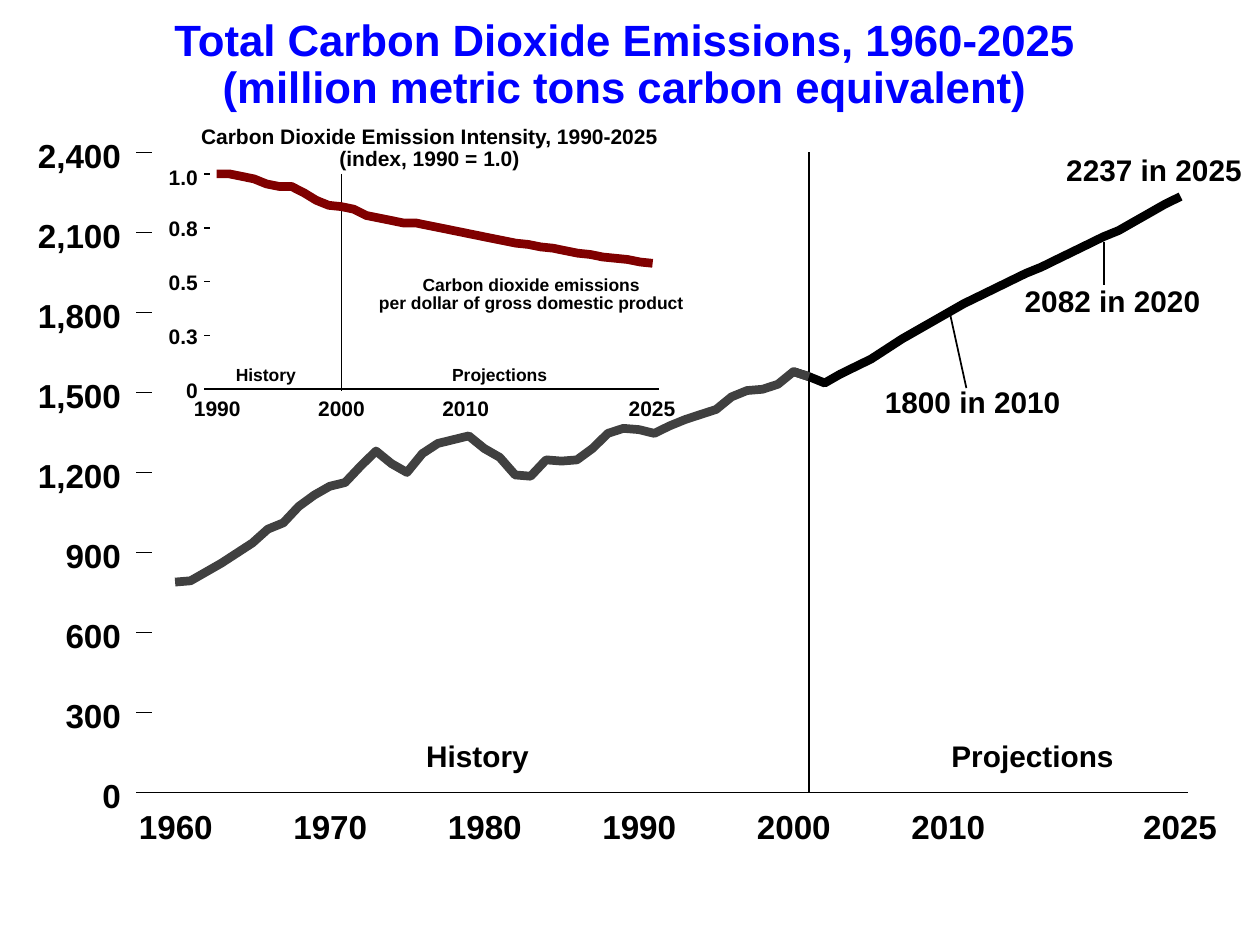
from lxml import etree
from pptx import Presentation
from pptx.dml.color import RGBColor
from pptx.enum.shapes import MSO_CONNECTOR
from pptx.enum.text import MSO_AUTO_SIZE, PP_ALIGN
from pptx.oxml.ns import qn
from pptx.util import Inches, Pt

BLACK = RGBColor(0, 0, 0)
BLUE = RGBColor(0, 0, 255)
GREY = RGBColor(64, 64, 64)
MAROON = RGBColor(128, 0, 0)
CENTER = PP_ALIGN.CENTER
RIGHT = PP_ALIGN.RIGHT
STRAIGHT = MSO_CONNECTOR.STRAIGHT
GROW = MSO_AUTO_SIZE.SHAPE_TO_FIT_TEXT

PAST = [
    4.62, 4.61, 4.54, 4.47, 4.39, 4.31, 4.2, 4.15, 4.02, 3.93, 3.86,
    3.83, 3.7, 3.58, 3.68, 3.75, 3.6, 3.52, 3.49, 3.46, 3.56, 3.63,
    3.77, 3.78, 3.65, 3.66, 3.65, 3.56, 3.44, 3.4, 3.41, 3.44, 3.38,
    3.33, 3.29, 3.25, 3.15, 3.1, 3.09, 3.05, 2.95, 2.99,
]
FUTURE = [
    2.95, 2.99, 3.04, 2.97, 2.91, 2.85, 2.77, 2.69, 2.62, 2.55, 2.48,
    2.41, 2.35, 2.29, 2.23, 2.17, 2.12, 2.06, 2, 1.94, 1.88, 1.83,
    1.76, 1.69, 1.62, 1.56,
]
RATIO = [
    1.38, 1.38, 1.4, 1.42, 1.46, 1.48, 1.48, 1.53, 1.59, 1.63, 1.64,
    1.66, 1.71, 1.73, 1.75, 1.77, 1.77, 1.79, 1.81, 1.83, 1.85, 1.87,
    1.89, 1.91, 1.93, 1.94, 1.96, 1.97, 1.99, 2.01, 2.02, 2.04, 2.05,
    2.06, 2.08, 2.09,
]


class Board:
    font = "Arial"
    thin = Pt(1)
    thick = Pt(5)
    slack = 0.03

    def __init__(self, slide):
        self.slide = slide

    def text(self, x, y, w, h, lines, size, color=BLACK, align=CENTER, space=0.9):
        left = x - self.slack
        wide = w + self.slack
        if align == CENTER:
            wide += self.slack
        box = self.slide.shapes.add_textbox(
            Inches(left), Inches(y), Inches(wide), Inches(h))
        frame = box.text_frame
        frame.margin_left = frame.margin_right = 0
        frame.margin_top = frame.margin_bottom = 0
        frame.word_wrap = False
        frame.auto_size = GROW
        frame.text = lines
        for para in frame.paragraphs:
            para.alignment = align
            para.line_spacing = space
            para.font.name = self.font
            para.font.size = Pt(size)
            para.font.bold = True
            para.font.color.rgb = color

    def value(self, right, y, label, size):
        marks = label.count(",") + label.count(".")
        w = size / 72 * (0.56 * (len(label) - marks) + 0.28 * marks)
        self.text(right - w, y, w, size / 60, label, size, align=RIGHT, space=1.0)

    def line(self, x1, y1, x2, y2):
        link = self.slide.shapes.add_connector(
            STRAIGHT, Inches(x1), Inches(y1), Inches(x2), Inches(y2))
        link.line.color.rgb = BLACK
        link.line.width = self.thin
        etree.SubElement(link._element.spPr, qn("a:effectLst"))

    def curve(self, left, width, tops, color):
        step = width / (len(tops) - 1)
        points = [(Inches(left + i * step), Inches(y)) for i, y in enumerate(tops)]
        form = self.slide.shapes.build_freeform(*points[0])
        form.add_line_segments(points[1:], close=False)
        shape = form.convert_to_shape()
        shape.shadow.inherit = False
        shape.fill.background()
        shape.line.color.rgb = color
        shape.line.width = self.thick


def draw_main(board):
    board.text(8.46, 1.24, 1.4, 0.26, "2237 in 2025", 17)
    board.line(6.42, 1.21, 6.42, 6.29)
    board.curve(6.3, 3.07, FUTURE, BLACK)
    board.curve(1.39, 5.03, PAST, GREY)
    for i in range(9):
        rise = 0.635 * i
        board.line(1.08, 6.29 - rise, 1.21, 6.29 - rise)
        board.value(0.96, 6.15 - rise, f"{300 * i:,}", 19)
    board.line(1.21, 6.29, 9.43, 6.29)
    for year in (1960, 1970, 1980, 1990, 2000, 2010, 2025):
        x = 1.1 + (year - 1960) * 7.97 / 65
        board.text(x, 6.4, 0.59, 0.32, str(year), 19, space=1.0)
    board.text(3.38, 5.89, 0.82, 0.26, "History", 17)
    board.text(7.55, 5.89, 1.29, 0.26, "Projections", 17)
    board.text(7.02, 3.08, 1.4, 0.26, "1800 in 2010", 17)
    board.text(8.13, 2.28, 1.4, 0.26, "2082 in 2020", 17)
    board.line(7.67, 3.08, 7.54, 2.49)
    board.line(8.76, 1.92, 8.76, 2.26)


def draw_inset(board):
    board.line(2.71, 1.38, 2.71, 3.1)
    board.curve(1.72, 3.46, RATIO, MAROON)
    scale = [("0", 3), ("0.3", 2.57), ("0.5", 2.14), ("0.8", 1.71), ("1.0", 1.31)]
    for i, (label, top) in enumerate(scale):
        y = 3.09 - 1.71 / 4 * i
        board.line(1.62, y, 1.67, y)
        board.value(1.57, top, label, 12)
    board.line(1.67, 3.09, 5.23, 3.09)
    for year in (1990, 2000, 2010, 2025):
        x = 1.54 + (year - 1990) * 3.45 / 35
        board.text(x, 3.14, 0.37, 0.2, str(year), 12, space=1.0)
    board.text(1.59, 1, 3.64, 0.36,
               "Carbon Dioxide Emission Intensity, 1990-2025\n(index, 1990 = 1.0)", 12)
    board.text(1.87, 2.89, 0.48, 0.17, "History", 10, space=1.0)
    board.text(3.59, 2.89, 0.75, 0.17, "Projections", 10, space=1.0)
    board.text(3.01, 2.19, 2.41, 0.3,
               "Carbon dioxide emissions\nper dollar of gross domestic product", 10)


def main():
    deck = Presentation()
    deck.slide_width = Inches(10)
    deck.slide_height = Inches(7.5)
    board = Board(deck.slides.add_slide(deck.slide_layouts[6]))
    board.text(1.37, 0.15, 7.17, 0.75,
               "Total Carbon Dioxide Emissions, 1960-2025\n"
               "(million metric tons carbon equivalent)", 25, BLUE)
    draw_main(board)
    draw_inset(board)
    deck.save("out.pptx")


if __name__ == "__main__":
    main()
